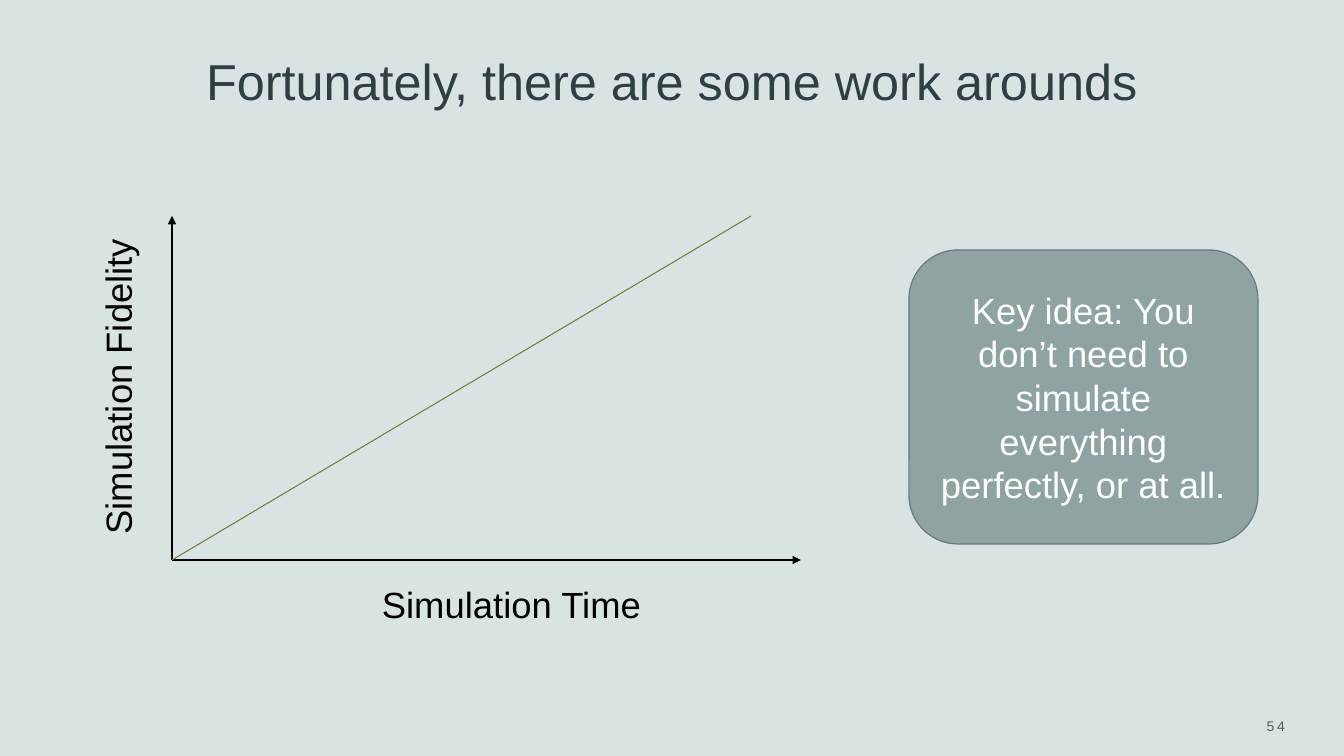
from dataclasses import dataclass

from lxml import etree
from pptx import Presentation
from pptx.dml.color import RGBColor
from pptx.enum.shapes import MSO_CONNECTOR, MSO_SHAPE
from pptx.enum.text import MSO_ANCHOR, MSO_AUTO_SIZE, PP_ALIGN
from pptx.oxml.ns import qn
from pptx.util import Pt

STRAIGHT = MSO_CONNECTOR.STRAIGHT
ROUNDED = MSO_SHAPE.ROUNDED_RECTANGLE
TOP, MIDDLE, BOTTOM = MSO_ANCHOR.TOP, MSO_ANCHOR.MIDDLE, MSO_ANCHOR.BOTTOM
LEFT, CENTER, RIGHT = PP_ALIGN.LEFT, PP_ALIGN.CENTER, PP_ALIGN.RIGHT
NO_AUTOFIT = MSO_AUTO_SIZE.NONE
EMU_PER_INCH = 914400
PX_PER_INCH = 100.8
TITLE_ONLY = 5


@dataclass(frozen=True)
class Theme:
    font: str = "Arial"
    background: str = "DAE3E3"
    title: str = "303F3F"
    text: str = "000000"
    muted: str = "575B5B"
    trend: str = "767E37"
    box_fill: str = "8FA3A3"
    box_line: str = "6A7979"
    box_text: str = "FFFFFF"
    title_size: int = 36
    body_size: int = 26
    number_size: int = 10
    line_width: float = 0.75
    box_line_width: float = 0.85


THEME = Theme()


def px(n):
    return round(n * EMU_PER_INCH / PX_PER_INCH)


def rgb(color):
    return RGBColor.from_string(color)


def place(shape, x, y, w, h):
    shape.left, shape.top, shape.width, shape.height = px(x), px(y), px(w), px(h)


def write(shape, text, size, color, align=LEFT, anchor=TOP):
    """Put one formatted paragraph in the shape and return it."""
    tf = shape.text_frame
    tf.word_wrap = True
    tf.auto_size = NO_AUTOFIT
    tf.vertical_anchor = anchor
    p = tf.paragraphs[0]
    p.text = text
    p.alignment = align
    p.font.name = THEME.font
    p.font.size = Pt(size)
    p.font.color.rgb = rgb(color)
    return p


def add_label(s, text, box, rotation=0):
    label = s.shapes.add_textbox(*map(px, box))
    label.rotation = rotation
    write(label, text, THEME.body_size, THEME.text)


def add_line(s, start, end, color, arrow=False):
    line = s.shapes.add_connector(STRAIGHT, *map(px, start + end))
    line.line.color.rgb = rgb(color)
    line.line.width = Pt(THEME.line_width)
    if arrow:
        ln = line.line._get_or_add_ln()
        etree.SubElement(ln, qn("a:tailEnd"), type="triangle")
    etree.SubElement(line._element.spPr, qn("a:effectLst"))


def add_key_idea(s, text, box):
    shape = s.shapes.add_shape(ROUNDED, *map(px, box))
    shape.shadow.inherit = False
    shape.fill.solid()
    shape.fill.fore_color.rgb = rgb(THEME.box_fill)
    shape.line.color.rgb = rgb(THEME.box_line)
    shape.line.width = Pt(THEME.box_line_width)
    write(shape, text, THEME.body_size, THEME.box_text, CENTER, MIDDLE)


def add_page_number(s, text, box):
    number = s.shapes.add_textbox(*map(px, box))
    p = write(number, text, THEME.number_size, THEME.muted, RIGHT, MIDDLE)
    p.runs[0].font._element.set("spc", "200")


def main():
    prs = Presentation()
    prs.slide_width, prs.slide_height = px(1344), px(756)
    s = prs.slides.add_slide(prs.slide_layouts[TITLE_ONLY])
    s.background.fill.solid()
    s.background.fill.fore_color.rgb = rgb(THEME.background)

    title = s.shapes.title
    place(title, 109, 43, 1126, 73)
    write(title, "Fortunately, there are some work arounds",
          THEME.title_size, THEME.title, CENTER, BOTTOM)
    add_page_number(s, "54", (1101, 701, 194, 50))

    origin, top = (172, 560), 216
    add_line(s, origin, (origin[0], top), THEME.text, arrow=True)
    add_line(s, origin, (801, origin[1]), THEME.text, arrow=True)
    add_label(s, "Simulation Fidelity", (-55, 345, 345, 54), rotation=270)
    add_label(s, "Simulation Time", (372, 577, 343, 54))
    add_line(s, origin, (751, top), THEME.trend)

    add_key_idea(s, "Key idea: You don’t need to simulate everything "
                 "perfectly, or at all.", (909, 250, 349, 294))
    prs.save("out.pptx")


if __name__ == "__main__":
    main()
